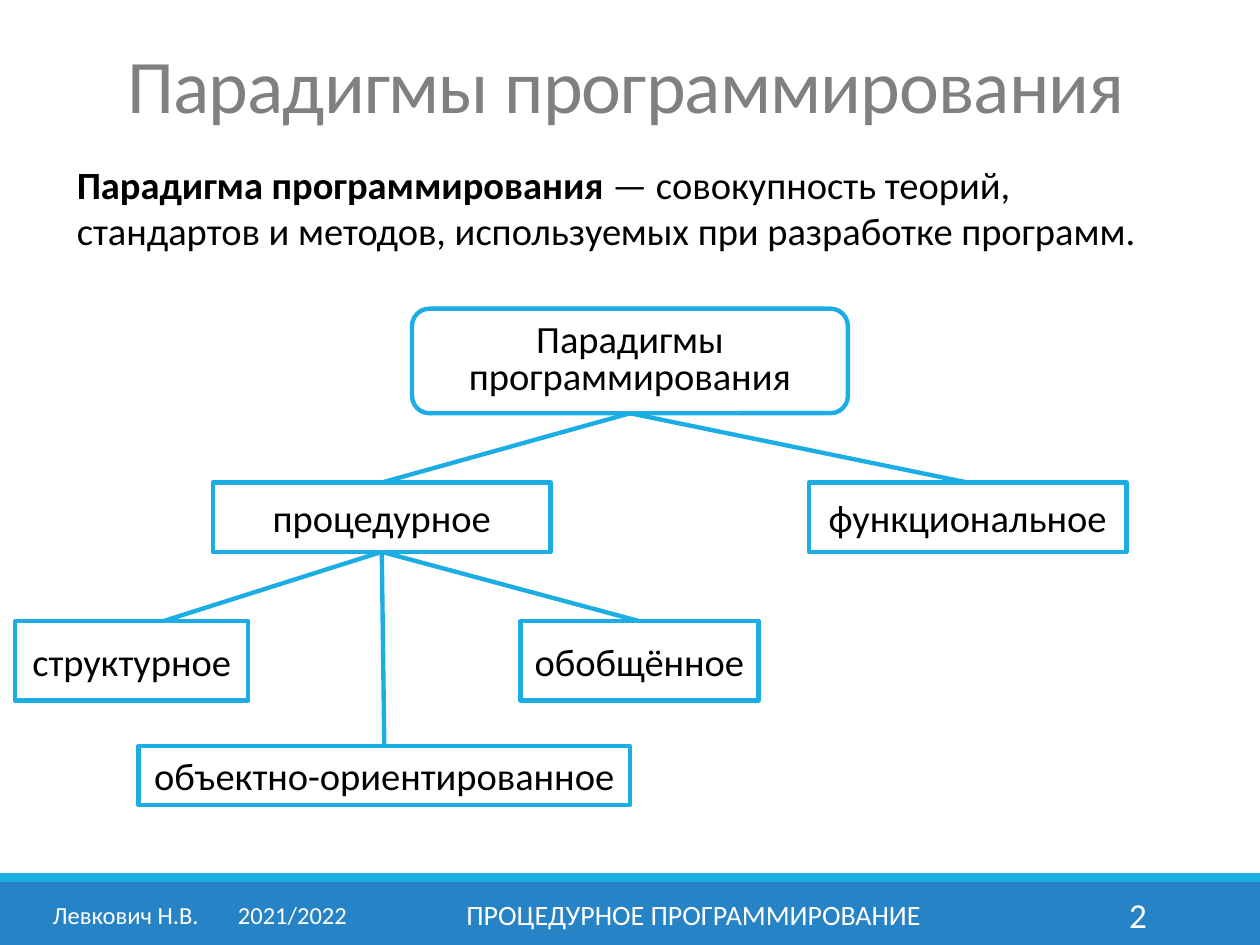
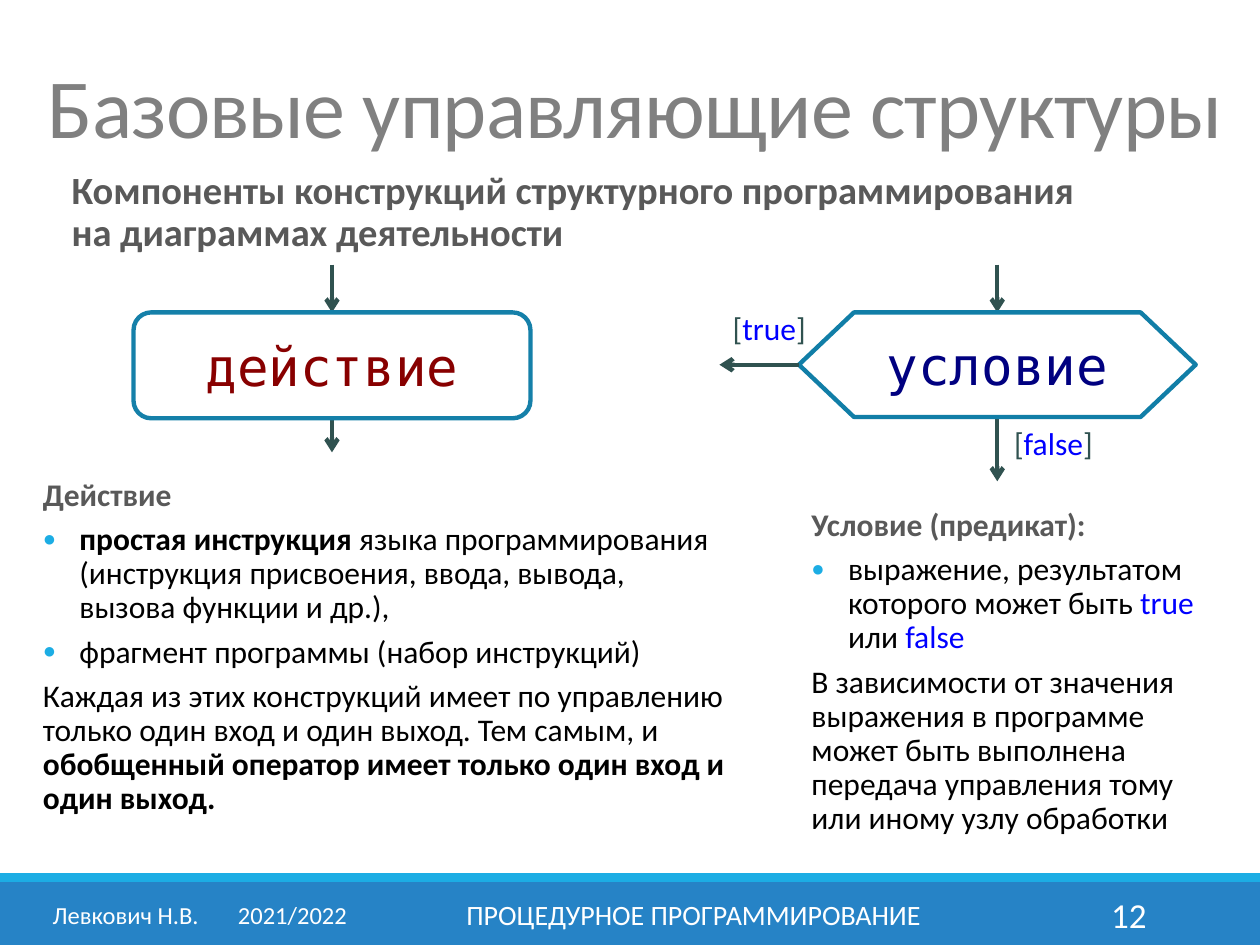
from lxml.etree import SubElement
from pptx import Presentation
from pptx.dml.color import RGBColor
from pptx.enum.shapes import MSO_CONNECTOR, MSO_SHAPE
from pptx.enum.text import MSO_ANCHOR, MSO_AUTO_SIZE, PP_ALIGN
from pptx.oxml.ns import qn
from pptx.util import Inches, Pt

COLORS = {
    "band": "2683C6", "sky": "1CADE4", "title": "808080", "head": "595959",
    "text": "000000", "white": "FFFFFF", "arrow": "305250", "act": "1580A9",
    "test": "117EA7", "red": "880000", "navy": "000080", "key": "0000FF",
}
SANS, MONO = "Calibri", "DejaVu Sans Mono"
LEFT, MID, RIGHT = PP_ALIGN.LEFT, PP_ALIGN.CENTER, PP_ALIGN.RIGHT


def color(name):
    return RGBColor.from_string(COLORS[name])


def style(font, size, tint, bold=False, face=SANS):
    font.name, font.size, font.bold = face, Pt(size), bold
    font.color.rgb = color(tint)


def place(shape, box):
    shape.left, shape.top, shape.width, shape.height = map(Inches, box)


def write(par, runs, size, face=SANS):
    for words, tint, bold in runs:
        for num, line in enumerate(words.split("\n")):
            if num:
                par.add_line_break()
            run = par.add_run()
            run.text = line
            style(run.font, size, tint, bold, face)


def setup(frame, anchor=MSO_ANCHOR.TOP):
    frame.word_wrap = True
    frame.auto_size = MSO_AUTO_SIZE.NONE
    frame.vertical_anchor = anchor


def label(slide, box, runs, size, align=LEFT, anchor=MSO_ANCHOR.MIDDLE):
    shape = slide.shapes.add_textbox(*map(Inches, box))
    setup(shape.text_frame, anchor)
    par = shape.text_frame.paragraphs[0]
    par.alignment = align
    write(par, runs, size)
    return par


def block(slide, kind, box, fill=None, line=None):
    shape = slide.shapes.add_shape(kind, *map(Inches, box))
    shape.shadow.inherit = False
    if fill:
        shape.fill.solid()
        shape.fill.fore_color.rgb = color(fill)
    else:
        shape.fill.background()
    if line:
        shape.line.color.rgb = color(line)
        shape.line.width = Pt(2.5)
    else:
        shape.line.fill.background()
    return shape


def node(slide, kind, box, words, line="sky", tint="text", size=22, face=SANS):
    shape = block(slide, kind, box, line=line)
    frame = shape.text_frame
    setup(frame, MSO_ANCHOR.MIDDLE)
    frame.margin_left = frame.margin_right = Inches(0.05)
    par = frame.paragraphs[0]
    par.alignment = MID
    write(par, [(words, tint, False)], size, face)
    return shape


def link(slide, start, end, tint="sky", head=False):
    line = slide.shapes.add_connector(
        MSO_CONNECTOR.STRAIGHT, *map(Inches, start + end))
    line.line.color.rgb = color(tint)
    line.line.width = Pt(2.5)
    if head:
        SubElement(line.line._get_or_add_ln(), qn("a:tailEnd"), type="arrow")
    SubElement(line._element.spPr, qn("a:effectLst"))


def title(slide, box, words, size, anchor):
    shape = slide.shapes.title
    place(shape, box)
    frame = shape.text_frame
    setup(frame, anchor)
    par = frame.paragraphs[0]
    par.alignment, par.line_spacing = LEFT, 0.85
    write(par, [(words, "title", False)], size)
    par.runs[0].font._element.set("spc", "-50")


def bullet(par, on):
    props = par._p.get_or_add_pPr()
    dent = Inches(0.29) if on else 0
    props.set("marL", str(dent))
    props.set("indent", str(-dent))
    if on:
        tint = SubElement(props, qn("a:buClr"))
        SubElement(tint, qn("a:srgbClr"), val=COLORS["sky"])
        SubElement(props, qn("a:buSzPct"), val="70000")
        SubElement(props, qn("a:buChar"), char="●")
    else:
        SubElement(props, qn("a:buNone"))


def body(shape, box, items, size, space):
    place(shape, box)
    frame = shape.text_frame
    setup(frame)
    for num, (dot, runs) in enumerate(items):
        par = frame.add_paragraph() if num else frame.paragraphs[0]
        bullet(par, dot)
        par.alignment, par.line_spacing = LEFT, space
        par.space_before = Pt(6 if num else 0)
        write(par, runs, size)


def footer(slide, page):
    block(slide, MSO_SHAPE.RECTANGLE, (0, 7, 10, 0.5), "band")
    block(slide, MSO_SHAPE.RECTANGLE, (0, 6.93, 10, 0.07), "sky")
    parts = [
        (0.32, 2.61, "Левкович Н.В.\t2021/2022", 14, LEFT),
        (3.02, 4.97, "ПРОЦЕДУРНОЕ ПРОГРАММИРОВАНИЕ", 16, MID),
        (8.12, 1.08, str(page), 20, RIGHT),
    ]
    for x, wide, words, size, align in parts:
        par = label(slide, (x, 7.06, wide, 0.4),
                    [(words, "white", False)], size, align)
        if "\t" in words:
            tabs = SubElement(par._p.get_or_add_pPr(), qn("a:tabLst"))
            SubElement(tabs, qn("a:tab"), pos=str(Inches(1.47)), algn="l")


def tree(slide, x, y):
    nodes = {
        "Парадигмы программирования": (3.15, 0, 3.46, 0.83),
        "функциональное": (6.3, 1.38, 2.52, 0.55),
        "процедурное": (1.57, 1.38, 2.68, 0.55),
        "структурное": (0, 2.48, 1.85, 0.63),
        "объектно-ориентированное": (0.98, 3.47, 3.9, 0.47),
        "обобщённое": (4.01, 2.48, 1.89, 0.63),
    }
    root, func, proc, struct, obj, gen = nodes
    shifts = {struct: 0.25}
    for top, kids in {root: (proc, func), proc: (struct, obj, gen)}.items():
        left, up, wide, high = nodes[top]
        start = (x + left + wide / 2, y + up + high)
        for kid in kids:
            left, up, wide, _ = nodes[kid]
            end = (x + left + wide / 2 + shifts.get(kid, 0), y + up)
            link(slide, start, end)
    for words, (left, up, wide, high) in nodes.items():
        kind = MSO_SHAPE.ROUNDED_RECTANGLE if words == root else MSO_SHAPE.RECTANGLE
        shape = node(slide, kind, (x + left, y + up, wide, high), words)
        if words == root:
            shape.text_frame.paragraphs[0].line_spacing = 0.8


def flow(slide, box, kind, words, line, tint, drop):
    x, y, wide, high = box
    mid, low = x + wide / 2, y + high
    for start, end in ((y - 0.38, y), (low, low + drop)):
        link(slide, (mid, start), (mid, end), "arrow", True)
    return node(slide, kind, box, words, line, tint, 30, MONO)


def branch(slide, box):
    x, y, wide, high = box
    hexa = flow(slide, box, MSO_SHAPE.HEXAGON, "условие", "test", "navy", 0.51)
    hexa.adjustments[0] = 0.527
    mid = y + high / 2
    link(slide, (x, mid), (x - 0.63, mid), "arrow", True)
    marks = [
        ("true", (x - 0.63, y - 0.07, 0.79, 0.39), MID),
        ("false", (x + 1.61, y + 0.84, 0.87, 0.39), LEFT),
    ]
    for word, area, align in marks:
        runs = [("[", "arrow", False), (word, "key", False), ("]", "arrow", False)]
        label(slide, area, runs, 18, align)


def paradigms(deck):
    slide = deck.slides.add_slide(deck.slide_layouts[1])
    title(slide, (0.91, 0, 8.25, 1.07), "Парадигмы программирования",
          43.2, MSO_ANCHOR.BOTTOM)
    body(slide.placeholders[1], (0.51, 1.23, 8.82, 0.84), [(False, [
        ("Парадигма программирования", "text", True),
        (" — совокупность теорий, стандартов и методов, "
         "используемых при разработке программ.", "text", False),
    ])], 22, 1)
    tree(slide, 0.12, 2.45)
    footer(slide, 2)


def controls(deck):
    slide = deck.slides.add_slide(deck.slide_layouts[3])
    title(slide, (0.28, 0.36, 9.53, 1.07), "Базовые управляющие структуры",
          48, MSO_ANCHOR.MIDDLE)
    lead = label(slide, (0.47, 1.31, 9.1, 0.55), [
        ("Компоненты конструкций структурного программирования\n"
         "на диаграммах деятельности", "head", True)], 22, anchor=MSO_ANCHOR.TOP)
    lead.line_spacing = 0.9
    body(slide.placeholders[1], (0.24, 3.75, 5.91, 2.63), [
        (False, [("Действие", "head", True)]),
        (True, [
            ("простая инструкция ", "text", True),
            ("языка программирования (инструкция присвоения, ввода, вывода,\n"
             "вызова функции и др.),", "text", False)]),
        (True, [("фрагмент программы (набор инструкций)", "text", False)]),
        (False, [
            ("Каждая из этих конструкций имеет по управлению только один вход "
             "и один выход. Тем самым, и ", "text", False),
            ("обобщенный оператор имеет только один вход и один выход.",
             "text", True)]),
    ], 18, 0.9)
    body(slide.placeholders[2], (6.34, 3.99, 3.5, 2.63), [
        (False, [("Условие (предикат):", "head", True)]),
        (True, [
            ("выражение, результатом которого может быть ", "text", False),
            ("true ", "key", False), ("или ", "text", False),
            ("false", "key", False)]),
        (False, [
            ("В зависимости от значения выражения в программе может быть "
             "выполнена передача управления тому или иному узлу обработки",
             "text", False)]),
    ], 18, 0.9)
    flow(slide, (1.06, 2.48, 3.15, 0.84), MSO_SHAPE.FLOWCHART_ALTERNATE_PROCESS,
         "действие", "act", "red", 0.27)
    branch(slide, (6.34, 2.48, 3.15, 0.83))
    footer(slide, 12)


def main():
    deck = Presentation()
    deck.slide_width, deck.slide_height = Inches(10), Inches(7.5)
    paradigms(deck)
    controls(deck)
    deck.save("out.pptx")


if __name__ == "__main__":
    main()
